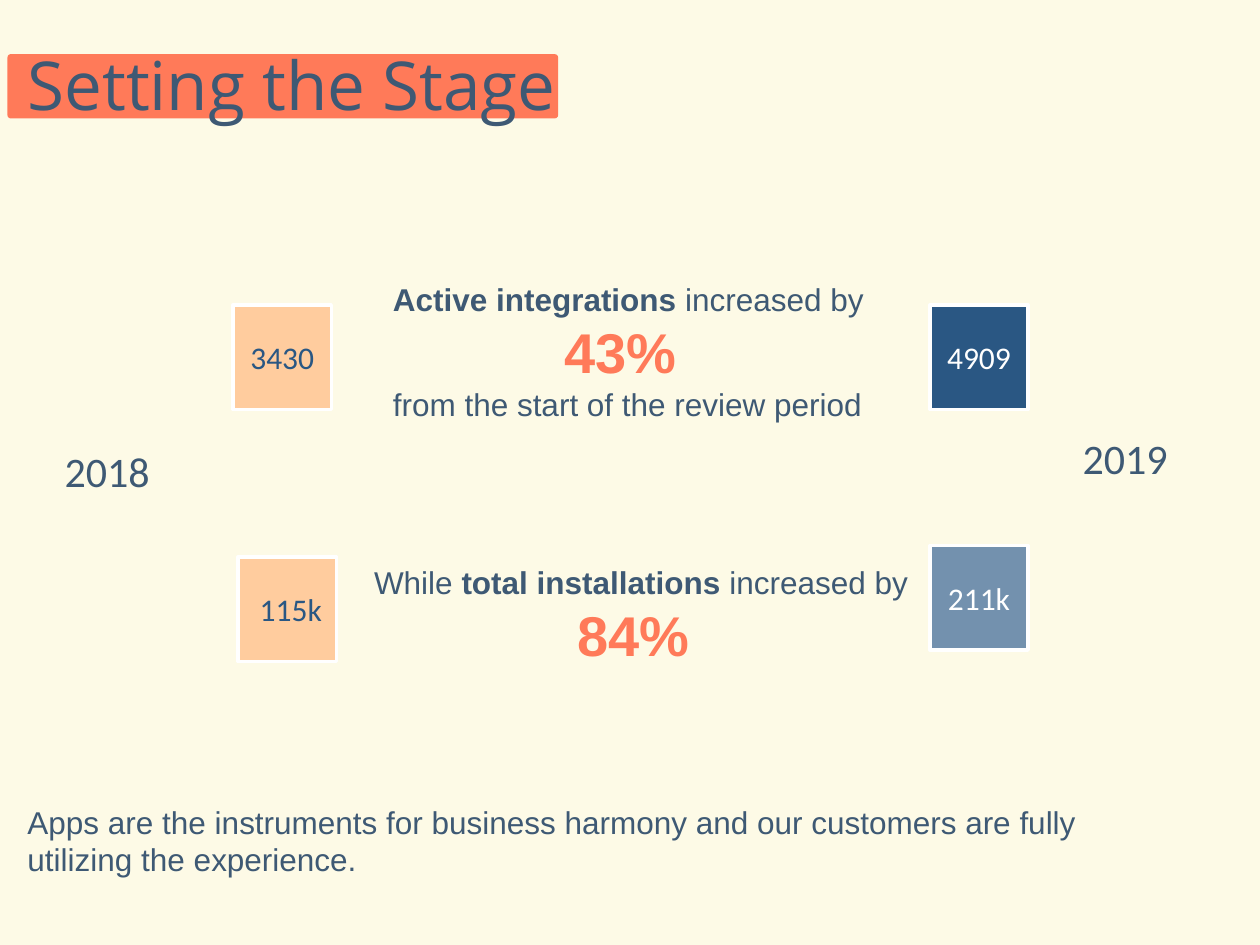
import dataclasses
import typing

import pptx
import pptx.dml.color
import pptx.enum.shapes
import pptx.enum.text
import pptx.util

Inches = pptx.util.Inches
Align = pptx.enum.text.PP_ALIGN
Anchor = pptx.enum.text.MSO_ANCHOR
Shape = pptx.enum.shapes.MSO_SHAPE


@dataclasses.dataclass(frozen=True)
class Theme:
    paper: str = "FDFAE6"
    ink: str = "3E5974"
    coral: str = "FF7A59"
    peach: str = "FFCC9E"
    navy: str = "2A5783"
    steel: str = "7391AE"
    white: str = "FFFFFF"
    head: float = 38.5
    stat: float = 32
    year: float = 24
    body: float = 18


THEME = Theme()


class Run(typing.NamedTuple):
    text: str
    size: float = THEME.body
    color: str = THEME.ink
    bold: bool = False
    font: str = "Arial"


class Line(typing.NamedTuple):
    runs: list[Run]
    align: Align = Align.LEFT
    space: float = 1.0


class Box(typing.NamedTuple):
    left: float
    top: float
    width: float
    height: float
    lines: list[Line]
    anchor: Anchor = Anchor.TOP


class Tile(typing.NamedTuple):
    left: float
    top: float
    text: str
    fill: str
    color: str


def rgb(code: str) -> pptx.dml.color.RGBColor:
    return pptx.dml.color.RGBColor.from_string(code)


def apply(target: typing.Any, values: dict[str, typing.Any]) -> None:
    for name, value in values.items():
        setattr(target, name, value)


def write(frame: typing.Any, lines: list[Line], anchor: Anchor) -> None:
    apply(frame, {"word_wrap": False, "vertical_anchor": anchor})
    for i, line in enumerate(lines):
        para = frame.add_paragraph() if i else frame.paragraphs[0]
        apply(para, {"alignment": line.align, "line_spacing": line.space})
        for item in line.runs:
            run = para.add_run()
            run.text = item.text
            apply(run.font, {"name": item.font, "bold": item.bold,
                             "size": pptx.util.Pt(item.size)})
            run.font.color.rgb = rgb(item.color)


def draw_box(slide: typing.Any, box: Box) -> None:
    shape = slide.shapes.add_textbox(*map(Inches, box[:4]))
    write(shape.text_frame, box.lines, box.anchor)


def draw_block(slide: typing.Any, kind: Shape, area: tuple, fill: str) -> typing.Any:
    shape = slide.shapes.add_shape(kind, *map(Inches, area))
    shape.shadow.inherit = False
    shape.fill.solid()
    shape.fill.fore_color.rgb = rgb(fill)
    shape.line.fill.background()
    return shape


def draw_tile(slide: typing.Any, tile: Tile) -> None:
    area = (tile.left, tile.top, 0.78, 0.83)
    shape = draw_block(slide, Shape.RECTANGLE, area, tile.fill)
    shape.line.color.rgb = rgb(THEME.white)
    shape.line.width = pptx.util.Pt(2)
    run = Run(tile.text, color=tile.color, font="Calibri")
    write(shape.text_frame, [Line([run], Align.CENTER)], Anchor.MIDDLE)


def stat(text: str) -> Line:
    return Line([Run(text, THEME.stat, THEME.coral, True)], Align.CENTER)


def year(left: float, top: float, text: str) -> Box:
    run = Run(text, THEME.year, font="Calibri")
    return Box(left, top, 0.88, 0.5, [Line([run], Align.CENTER)])


TITLE = Box(0.12, 0.32, 8.75, 0.76, [
    Line([Run("Setting the Stage", THEME.head, font="Open Sans")], space=0.9),
], Anchor.MIDDLE)

BOXES = [
    Box(3.02, 2.17, 4.04, 1.55, [
        Line([Run("Active integrations ", bold=True), Run("increased by")]),
        stat("43% "),
        Line([Run("from the start of the review period")]),
    ]),
    Box(2.87, 4.42, 4.55, 1.25, [
        Line([Run("While "), Run("total installations ", bold=True),
              Run("increased by")]),
        stat("84% "),
    ]),
    year(0.41, 3.49, "2018"),
    year(8.49, 3.38, "2019"),
    Box(0.12, 6.32, 8.67, 1.01, [
        Line([Run("Apps are the instruments for business harmony "
                  "and our customers are fully")]),
        Line([Run("utilizing the experience.")]),
    ]),
]

TILES = [
    Tile(1.85, 2.42, "3430", THEME.peach, THEME.navy),
    Tile(1.89, 4.42, " 115k", THEME.peach, THEME.navy),
    Tile(7.38, 4.33, "211k", THEME.steel, THEME.white),
    Tile(7.38, 2.42, "4909", THEME.navy, THEME.white),
]


def main() -> None:
    deck = pptx.Presentation()
    apply(deck, {"slide_width": Inches(10), "slide_height": Inches(7.5)})
    slide = deck.slides.add_slide(deck.slide_layouts[6])
    slide.background.fill.solid()
    slide.background.fill.fore_color.rgb = rgb(THEME.paper)

    # Title on its coral band
    band = draw_block(slide, Shape.ROUNDED_RECTANGLE,
                      (0.06, 0.43, 4.37, 0.51), THEME.coral)
    band.adjustments[0] = 0.05
    draw_box(slide, TITLE)

    # Figures for each year
    for tile in TILES:
        draw_tile(slide, tile)

    # Growth statements, years and closing line
    for box in BOXES:
        draw_box(slide, box)

    deck.save("out.pptx")


if __name__ == "__main__":
    main()
